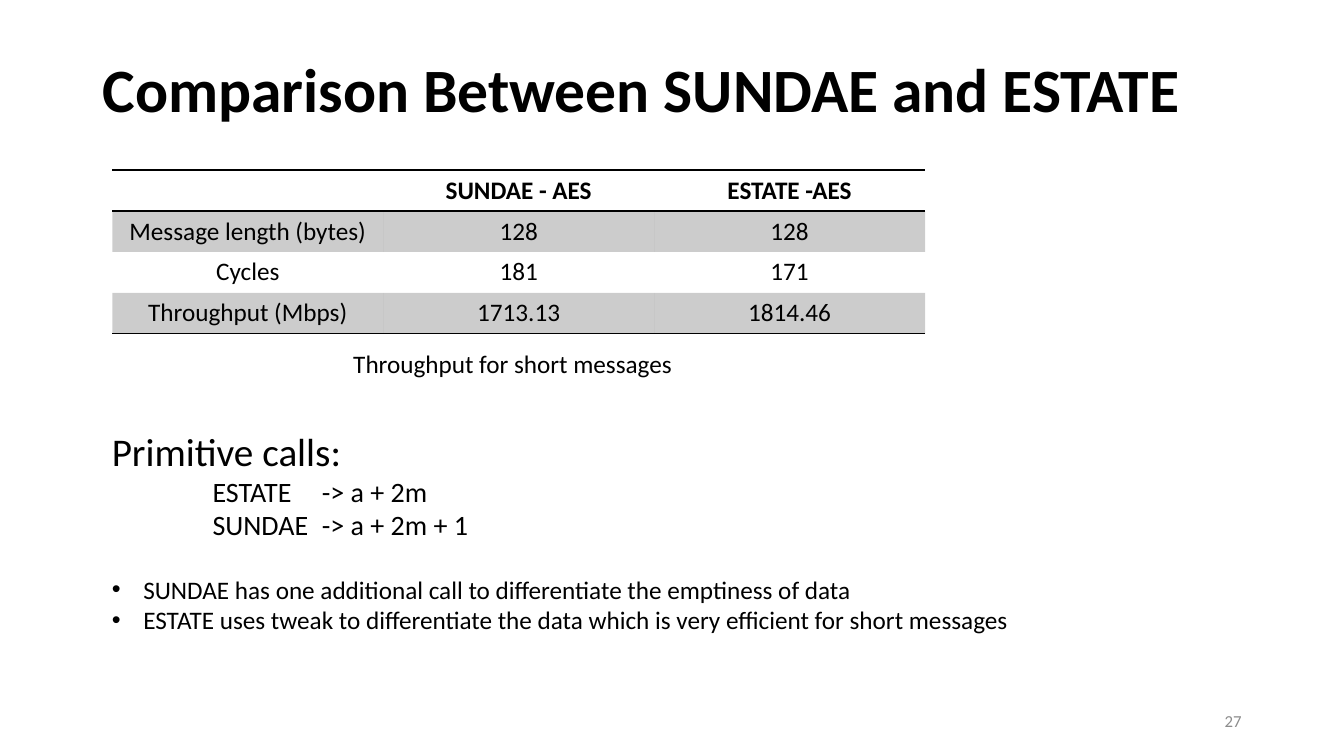
import pptx
import pptx.util
import pptx.dml.color
import pptx.enum.text
import pptx.oxml
import pptx.oxml.ns

PX = 9525  # EMU per px, 96 px to the inch
ALIGN = pptx.enum.text.PP_ALIGN
MID = pptx.enum.text.MSO_ANCHOR.MIDDLE
NS = pptx.oxml.ns.nsdecls("a")


def rgb(code):
    return pptx.dml.color.RGBColor.from_string(code)


def write(para, text, size, hue="000000", align=ALIGN.LEFT, bold=False):
    para.alignment = align
    run = para.add_run()
    run.text = text
    look = {"name": "Calibri", "size": pptx.util.Pt(size), "bold": bold}
    for key, val in look.items():
        setattr(run.font, key, val)
    run.font.color.rgb = rgb(hue)


deck = pptx.Presentation()
deck.slide_width, deck.slide_height = 1280 * PX, 720 * PX
slide = deck.slides.add_slide(deck.slide_layouts[5])

# Title
title = slide.shapes.title
place = {"left": 88, "top": 38, "width": 1104, "height": 101}
for key, val in place.items():
    setattr(title, key, val * PX)
frame = title.text_frame
frame.vertical_anchor = MID
frame.paragraphs[0].line_spacing = 0.9
write(frame.paragraphs[0], "Comparison Between SUNDAE and ESTATE", 44, bold=True)

# Table
rows = [
    ("", "SUNDAE - AES", "ESTATE -AES"),
    ("Message length (bytes)", "128", "128"),
    ("Cycles", "181", "171"),
    ("Throughput (Mbps)", "1713.13", "1814.46"),
]
rules = {0: ("lnB", "lnT"), 3: ("lnB",)}
holder = slide.shapes.add_table(4, 3, 107 * PX, 162 * PX, 774 * PX, 156 * PX)
grid = holder.table
grid.first_row = grid.horz_banding = False
for style in holder.element.iter(pptx.oxml.ns.qn("a:tableStyleId")):
    style.text = "{2D5ABB26-0587-4C30-8999-92F81FD0307C}"  # no style, no grid
for col in grid.columns:
    col.width = 258 * PX
for i, row in enumerate(rows):
    grid.rows[i].height = 39 * PX
    for j, text in enumerate(row):
        cell = grid.cell(i, j)
        if text:
            write(cell.text_frame.paragraphs[0], text, 18, align=ALIGN.CENTER, bold=i == 0)
        props = cell._tc.get_or_add_tcPr()
        if i % 2:
            cell.fill.solid()
            cell.fill.fore_color.rgb = rgb("000000")
            tint = next(props.iter(pptx.oxml.ns.qn("a:srgbClr")))
            tint.append(pptx.oxml.parse_xml(f'<a:alpha {NS} val="20000"/>'))
        else:
            cell.fill.background()
        for side in rules.get(i, ()):
            props.insert(0, pptx.oxml.parse_xml(
                f'<a:{side} {NS} w="12700"><a:solidFill><a:srgbClr val="000000"/>'
                f'</a:solidFill></a:{side}>'))

# Text boxes: place, then lines of (text, size, kind)
boxes = [
    ((327, 327, 332, 38), [("Throughput for short messages", 18, "")]),
    ((97, 402, 361, 120), [
        ("Primitive calls:", 28, ""),
        ("\tESTATE\t-> a + 2m", 20, "tab"),
        ("\tSUNDAE\t-> a + 2m + 1", 20, "tab"),
    ]),
    ((97, 542, 884, 68), [
        ("SUNDAE has one additional call to differentiate the emptiness of data", 18, "dot"),
        ("ESTATE uses tweak to differentiate the data which is very efficient "
         "for short messages", 18, "dot"),
    ]),
]
extras = {
    "tab": [f'<a:tabLst {NS}><a:tab pos="{96 * PX}" algn="l"/>'
            f'<a:tab pos="{200 * PX}" algn="l"/></a:tabLst>'],
    "dot": [f'<a:buFont {NS} typeface="Arial"/>', f'<a:buChar {NS} char="•"/>'],
}
for spot, lines in boxes:
    frame = slide.shapes.add_textbox(*[n * PX for n in spot]).text_frame
    frame.word_wrap = True
    for n, (text, size, kind) in enumerate(lines):
        para = frame.add_paragraph() if n else frame.paragraphs[0]
        props = para._p.get_or_add_pPr()
        for xml in extras.get(kind, ()):
            props.append(pptx.oxml.parse_xml(xml))
        if kind == "dot":
            props.set("marL", str(30 * PX))
            props.set("indent", str(-30 * PX))
        write(para, text, size)

# Slide number
frame = slide.shapes.add_textbox(904 * PX, 667 * PX, 288 * PX, 38 * PX).text_frame
frame.word_wrap = True
frame.vertical_anchor = MID
write(frame.paragraphs[0], "27", 12, "8C8C8C", ALIGN.RIGHT)

deck.save("out.pptx")
